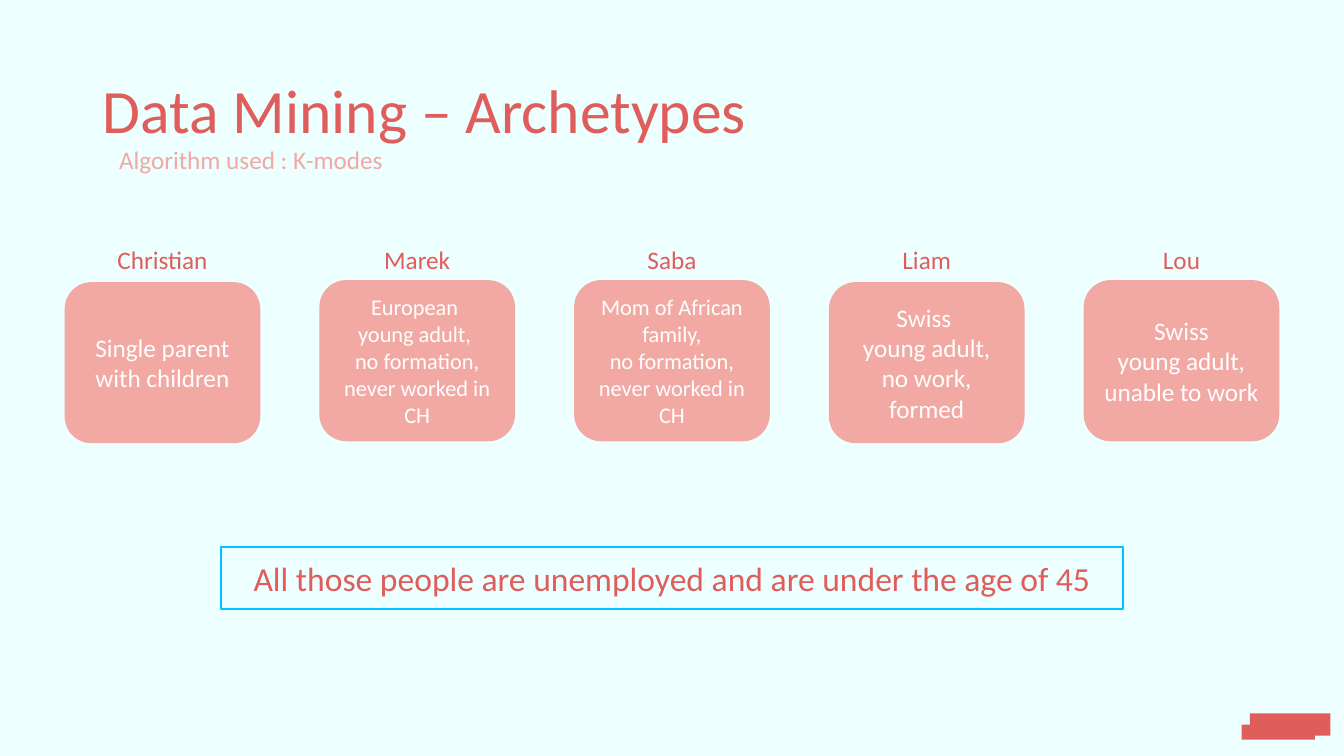
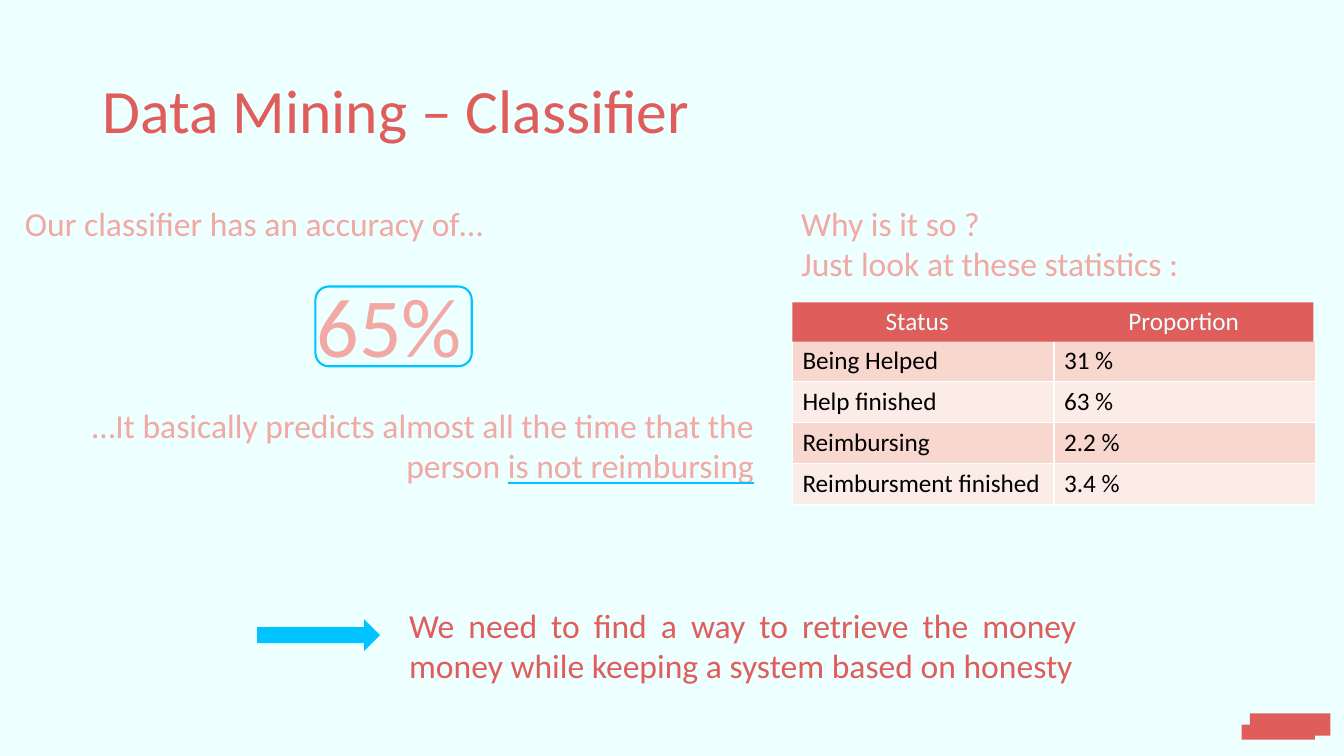
from lxml.etree import SubElement
from pptx import Presentation
from pptx.dml.color import RGBColor
from pptx.enum.shapes import MSO_CONNECTOR, MSO_SHAPE
from pptx.enum.text import MSO_ANCHOR, MSO_AUTO_SIZE, PP_ALIGN
from pptx.oxml.ns import qn
from pptx.util import Cm, Pt

FONT = "Calibri"
COLORS = {
    "background": "EDFFFF",
    "coral": "DF5D5B",
    "salmon": "F2A8A3",
    "cyan": "00C4FF",
    "white": "FFFFFF",
    "black": "000000",
    "row_dark": "F8D7CE",
    "row_light": "FCECE8",
}
FOOTER_BANDS = [(31.5, 17.98, 2.03, 0.56), (31.29, 18.26, 1.85, 0.38)]
ARCHETYPES = [
    ("Christian", 7.11, 18, ["Single parent", "with children"]),
    ("Marek", 7.06, 16, ["European ", "young adult, ", "no formation, never worked in CH"]),
    ("Saba", 7.06, 16, ["Mom of African family,", "no formation,", "never worked in CH"]),
    ("Liam", 7.11, 18, ["Swiss ", "young adult,", "no work,", "formed"]),
    ("Lou", 7.06, 18, ["Swiss", "young adult, unable to work"]),
]
STATISTICS_HEADINGS = [("Status", 22.07, 2.11), ("Proportion", 28.19, 3.33)]
STATISTICS = [
    ("Being Helped", "31 %"),
    ("Help finished", "63 %"),
    ("Reimbursing", "2.2 %"),
    ("Reimbursment finished", "3.4 %"),
]


def rgb(name):
    """Return the palette colour with this name."""
    return RGBColor.from_string(COLORS[name])


def add_line(frame, text, size, color, align=PP_ALIGN.LEFT, before=0):
    """Write one paragraph, using the empty first one if it is free."""
    first = frame.paragraphs[0]
    paragraph = frame.add_paragraph() if first.runs else first
    paragraph.alignment = align
    if before:
        paragraph.space_before = Pt(before)
    run = paragraph.add_run()
    run.text = text
    run.font.name = FONT
    run.font.size = Pt(size)
    run.font.color.rgb = rgb(color)
    return paragraph


def add_text(slide, box, lines, size, color, align=PP_ALIGN.LEFT, wrap=True):
    """Add a text box and return its frame."""
    frame = slide.shapes.add_textbox(*map(Cm, box)).text_frame
    frame.word_wrap = wrap
    for line in lines:
        add_line(frame, line, size, color, align)
    return frame


def add_block(slide, kind, box, fill=None, outline=None, weight=1.5):
    """Add a flat preset shape and return its centred text frame."""
    block = slide.shapes.add_shape(kind, *map(Cm, box))
    block.shadow.inherit = False
    if fill:
        block.fill.solid()
        block.fill.fore_color.rgb = rgb(fill)
    else:
        block.fill.background()
    if outline:
        block.line.color.rgb = rgb(outline)
        block.line.width = Pt(weight)
    else:
        block.line.fill.background()
    block.text_frame.word_wrap = True
    block.text_frame.vertical_anchor = MSO_ANCHOR.MIDDLE
    return block.text_frame


def add_underline(slide, left, right, height):
    """Draw a horizontal emphasis line."""
    underline = slide.shapes.add_connector(
        MSO_CONNECTOR.STRAIGHT, Cm(left), Cm(height), Cm(right), Cm(height)
    )
    underline.line.color.rgb = rgb("cyan")
    underline.line.width = Pt(1.5)
    SubElement(underline._element.spPr, qn("a:effectLst"))


def add_titled_slide(deck, heading):
    """Add a slide with the shared title and footer bands."""
    slide = deck.slides.add_slide(deck.slide_layouts[5])
    for band in FOOTER_BANDS:
        add_block(slide, MSO_SHAPE.RECTANGLE, band, fill="coral")
    title = slide.shapes.title
    title.left, title.top, title.width, title.height = map(Cm, (2.33, 1.01, 29.21, 3.68))
    frame = title.text_frame
    frame.auto_size = MSO_AUTO_SIZE.NONE
    frame.vertical_anchor = MSO_ANCHOR.MIDDLE
    add_line(frame, heading, 44, "coral").line_spacing = 0.9
    return slide


def style_cell(cell, fill):
    """Give a table cell white borders and a fill."""
    properties = cell._tc.get_or_add_tcPr()
    for side in ("a:lnL", "a:lnR", "a:lnT", "a:lnB"):
        edge = SubElement(properties, qn(side), w=str(Pt(1)))
        paint = SubElement(edge, qn("a:solidFill"))
        SubElement(paint, qn("a:srgbClr"), val=COLORS["white"])
    cell.fill.solid()
    cell.fill.fore_color.rgb = rgb(fill)


def add_statistics(slide):
    """Add the table of statuses and proportions under its heading bar."""
    table = slide.shapes.add_table(
        len(STATISTICS), 2, Cm(19.97), Cm(8.59), Cm(13.18), Cm(4.12)
    ).table
    table.first_row = False
    table.horz_banding = False
    for column in table.columns:
        column.width = Cm(6.59)
    for index, (row, values) in enumerate(zip(table.rows, STATISTICS)):
        row.height = Cm(1.03)
        for cell, value in zip(row.cells, values):
            style_cell(cell, "row_light" if index % 2 else "row_dark")
            add_line(cell.text_frame, value, 18, "black")
    add_block(slide, MSO_SHAPE.RECTANGLE, (19.97, 7.62, 13.13, 0.99), fill="coral")
    for heading, left, width in STATISTICS_HEADINGS:
        add_text(slide, (left, 7.57, width, 1.02), [heading], 18, "background", wrap=False)


def build_archetypes(deck):
    """Build the slide of the five archetypes."""
    slide = add_titled_slide(deck, "Data Mining – Archetypes")
    add_text(
        slide, (2.75, 3.51, 7.24, 1.02), ["Algorithm used : K-modes"], 18, "salmon",
        wrap=False,
    )
    for index, (name, top, size, traits) in enumerate(ARCHETYPES):
        left = 1.63 + 6.42 * index
        add_text(slide, (left, 6.02, 4.93, 1.02), [name], 18, "coral", PP_ALIGN.CENTER)
        card = add_block(
            slide, MSO_SHAPE.ROUNDED_RECTANGLE, (left, top, 4.93, 4.06), fill="salmon"
        )
        for trait in traits:
            add_line(card, trait, size, "white", PP_ALIGN.CENTER)
    summary = add_block(
        slide, MSO_SHAPE.RECTANGLE, (5.57, 13.79, 22.73, 1.55), outline="cyan", weight=1.25
    )
    add_line(
        summary,
        "All those people are unemployed and are under the age of 45",
        24, "coral", PP_ALIGN.CENTER,
    )


def build_classifier(deck):
    """Build the slide on the accuracy of the classifier."""
    slide = add_titled_slide(deck, "Data Mining – Classifier")
    add_text(
        slide, (19.94, 4.98, 13.18, 2.31),
        ["Why is it so ?", "Just look at these statistics :"], 24, "salmon",
    )
    add_statistics(slide)
    accuracy = add_text(
        slide, (0.38, 5, 18.87, 7.44),
        ["Our classifier has an accuracy of…"], 24, "salmon",
    )
    add_line(accuracy, "65%", 60, "salmon", PP_ALIGN.CENTER, before=21.5)
    add_line(
        accuracy,
        "…It basically predicts almost all the time that the person is not reimbursing",
        24, "salmon", PP_ALIGN.RIGHT, before=21.5,
    )
    add_block(slide, MSO_SHAPE.ROUNDED_RECTANGLE, (7.95, 7.22, 3.94, 2.01), outline="cyan")
    add_underline(slide, 12.8, 19, 12.17)
    add_text(
        slide, (10.06, 15.11, 17.32, 2.31),
        ["We need to find a way to retrieve the money money while keeping "
         "a system based on honesty"],
        24, "coral", PP_ALIGN.JUSTIFY,
    )
    add_block(slide, MSO_SHAPE.RIGHT_ARROW, (6.48, 15.6, 3.1, 0.81), fill="cyan")


def main():
    """Build and save the presentation."""
    deck = Presentation()
    deck.slide_width, deck.slide_height = Cm(33.87), Cm(19.05)
    backdrop = deck.slide_master.background.fill
    backdrop.solid()
    backdrop.fore_color.rgb = rgb("background")
    build_archetypes(deck)
    build_classifier(deck)
    deck.save("out.pptx")


if __name__ == "__main__":
    main()
